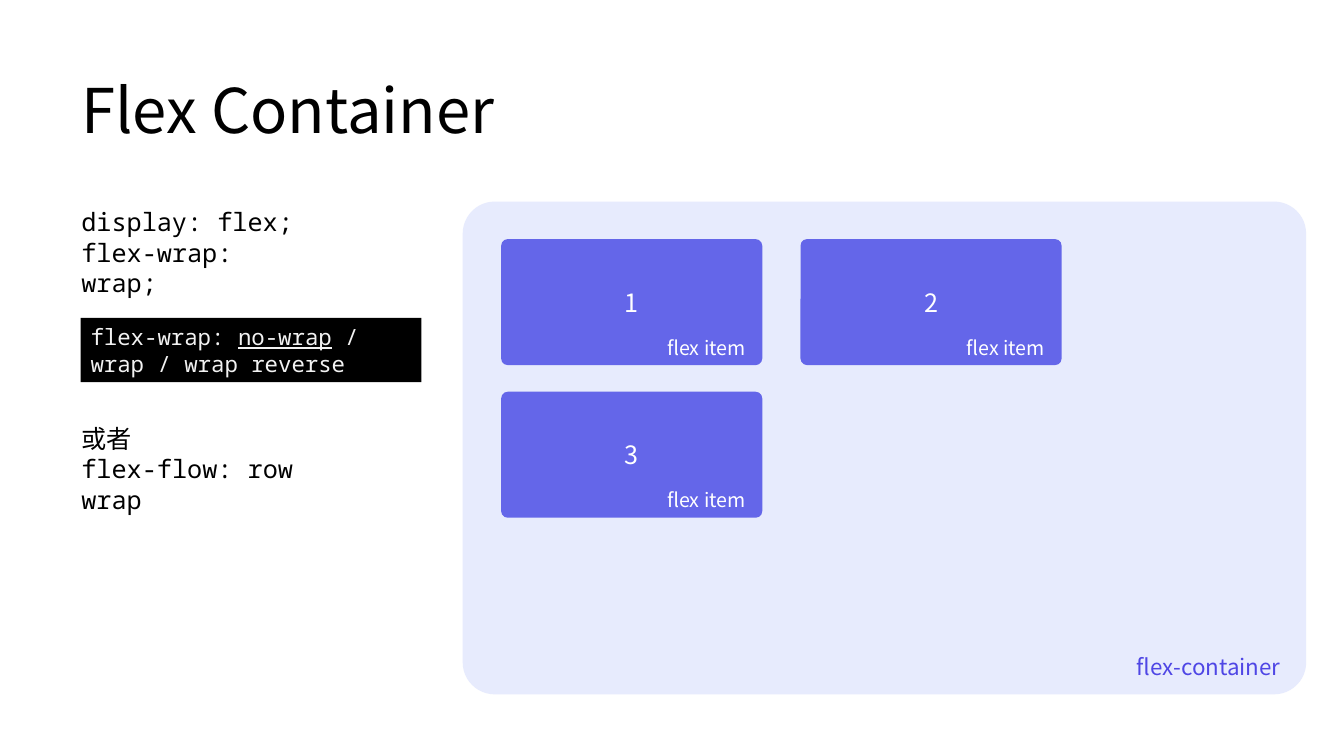
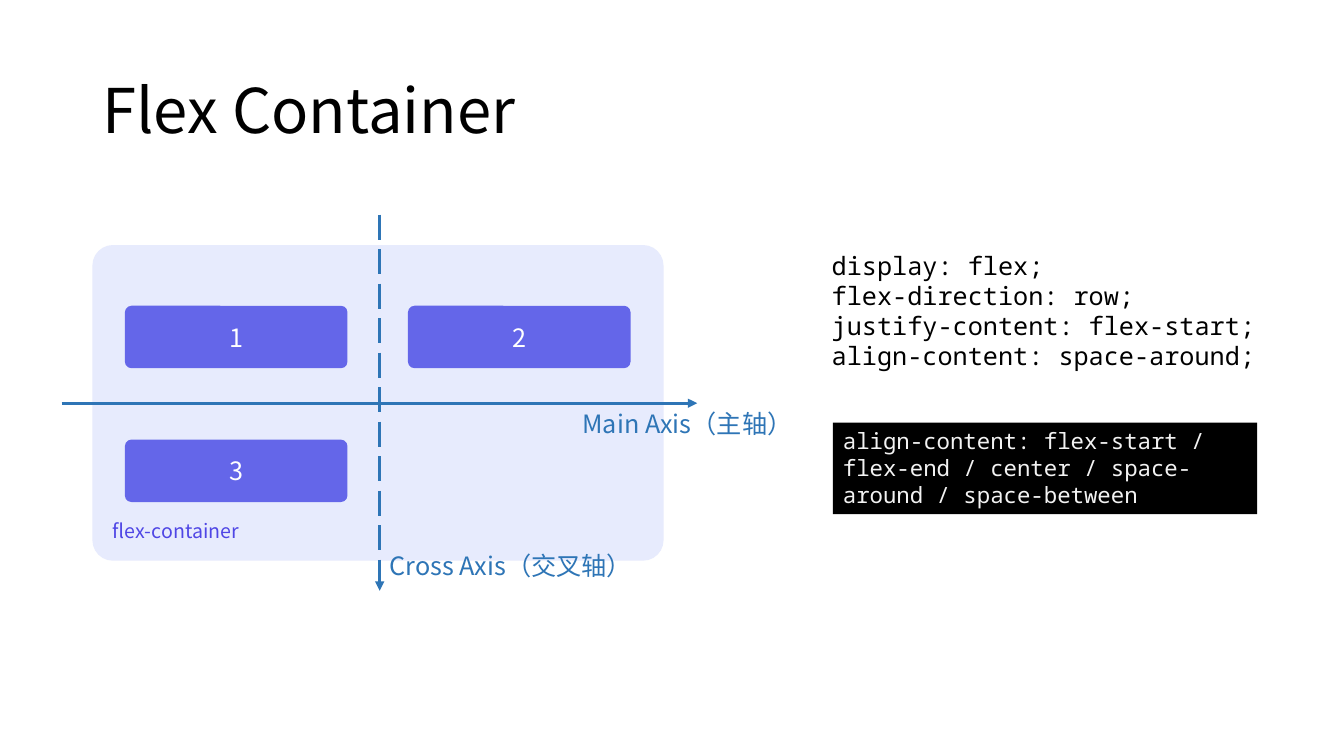
from dataclasses import dataclass

from lxml import etree
from pptx import Presentation
from pptx import util as u
from pptx.dml.color import RGBColor
from pptx.enum import dml, shapes, text
from pptx.oxml import ns


@dataclass(frozen=True)
class Theme:
    sans: str = "Noto Sans CJK SC"
    mono: str = "Noto Sans Mono"
    black: str = "000000"
    white: str = "FFFFFF"
    pale: str = "F2F2F2"
    panel: str = "E7EBFD"
    item: str = "6466E9"
    label: str = "4F46E5"
    axis: str = "2E75B6"
    title_size: float = 44
    body_size: float = 18
    note_size: float = 16
    small_size: float = 14


theme = Theme()

# Content: every box is (left, top, width, height) in points.
# Item grids hold (column, row) cells, numbered in order.
CELLS = [(0, 0), (1, 0), (0, 1)]
SLIDES = [
    dict(
        title=("Flex Container", (51, 29, 843, 104.5)),
        container=(330.5, 144, 602.5, 352),
        container_label=("flex-container", (805, 463, 122, 26.6), theme.note_size),
        grid=dict(start=(358, 170.8), size=(186.5, 90), pitch=(213.8, 109), tag="flex item"),
        code=[
            (["display: flex;", "flex-wrap: wrap;"], (51, 144, 174, 51)),
            (["或者", "flex-flow: row wrap"], (51, 299, 204, 51)),
        ],
        note=([("flex-wrap: ", False), ("no-wrap", True), (" / wrap / wrap reverse", False)],
              (57.6, 227, 243.4, 46)),
        axes=[],
    ),
    dict(
        title=("Flex Container", (66, 29, 828, 104.5)),
        container=(66, 175, 408, 225.5),
        container_label=("flex-container", (73.5, 367, 109, 24.5), theme.small_size),
        grid=dict(start=(89.2, 218.4), size=(159, 44.6), pitch=(202.2, 95.6), tag=None),
        code=[
            (["display: flex;", "flex-direction: row;", "justify-content: flex-start;",
              "align-content: space-around;"], (587, 175, 337, 94.5)),
        ],
        note=([("align-content: flex-start / flex-end / center / space-around / space-between",
                False)], (595, 301.8, 303, 65.5)),
        axes=[
            ("Main Axis（主轴）", (44, 288, 498, 288), (409, 288, 178, 29), None),
            ("Cross Axis（交叉轴）", (271.2, 153.4, 271.2, 422), (271.2, 389.5, 199.5, 29),
             dml.MSO_LINE.LONG_DASH),
        ],
    ),
]
ITEM_RADIUS = 4.7
TAG_SIZE = (75, 24.5)


def points(values):
    return [u.Pt(value) for value in values]


def apply(target, formats):
    for name, value in formats.items():
        setattr(target, name, value)


# Text: each line is a list of (words, underlined) spans
def write(frame, lines, size, colour, font=theme.sans, align=text.PP_ALIGN.LEFT, spacing=None):
    for index, line in enumerate(lines):
        para = frame.paragraphs[0] if index == 0 else frame.add_paragraph()
        apply(para, dict(alignment=align, line_spacing=spacing))
        for words, underlined in line:
            span = para.add_run()
            span.text = words
            apply(span.font, dict(name=font, size=u.Pt(size), underline=underlined or None))
            span.font.color.rgb = RGBColor.from_string(colour)
            east = etree.SubElement(span.font._element, ns.qn("a:ea"))
            east.set("typeface", theme.sans)


def plain(*lines):
    return [[(line, False)] for line in lines]


def add_text(page, lines, place, size, colour, font=theme.sans):
    box = page.shapes.add_textbox(*points(place))
    apply(box.text_frame, dict(word_wrap=True, auto_size=text.MSO_AUTO_SIZE.SHAPE_TO_FIT_TEXT))
    write(box.text_frame, lines, size, colour, font)


def add_block(page, place, fill, radius=None):
    kind = shapes.MSO_SHAPE.ROUNDED_RECTANGLE if radius else shapes.MSO_SHAPE.RECTANGLE
    block = page.shapes.add_shape(kind, *points(place))
    block.shadow.inherit = False
    block.fill.solid()
    block.fill.fore_color.rgb = RGBColor.from_string(fill)
    block.line.fill.background()
    if radius:
        block.adjustments[0] = radius / min(place[2:])
    return block


def add_title(page, words, place):
    title = page.shapes.title
    apply(title, dict(zip(("left", "top", "width", "height"), points(place))))
    apply(title.text_frame, dict(vertical_anchor=text.MSO_ANCHOR.MIDDLE, word_wrap=True,
                                 auto_size=text.MSO_AUTO_SIZE.NONE))
    write(title.text_frame, plain(words), theme.title_size, theme.black, spacing=0.9)


def add_items(page, start, size, pitch, tag):
    for number, cell in enumerate(CELLS, 1):
        left, top = (start[i] + cell[i] * pitch[i] for i in range(2))
        item = add_block(page, (left, top, *size), theme.item, ITEM_RADIUS)
        item.text_frame.vertical_anchor = text.MSO_ANCHOR.MIDDLE
        write(item.text_frame, plain(str(number)), theme.body_size, theme.white,
              align=text.PP_ALIGN.CENTER)
        if tag:
            corner = (left + size[0] - TAG_SIZE[0], top + size[1] - TAG_SIZE[1])
            add_text(page, plain(tag), (*corner, *TAG_SIZE), theme.small_size, theme.white)


def add_axis(page, words, ends, place, dash):
    axis = page.shapes.add_connector(shapes.MSO_CONNECTOR.STRAIGHT, *points(ends))
    axis.line.color.rgb = RGBColor.from_string(theme.axis)
    apply(axis.line, dict(width=u.Pt(2.25), dash_style=dash))
    etree.SubElement(axis.line._get_or_add_ln(), ns.qn("a:tailEnd")).set("type", "triangle")
    etree.SubElement(axis._element.spPr, ns.qn("a:effectLst"))
    add_text(page, plain(words), place, theme.body_size, theme.axis)


def add_note(page, spans, place):
    note = add_block(page, place, theme.black)
    apply(note.text_frame, dict(word_wrap=True, vertical_anchor=text.MSO_ANCHOR.TOP,
                                auto_size=text.MSO_AUTO_SIZE.SHAPE_TO_FIT_TEXT))
    write(note.text_frame, [spans], theme.note_size, theme.pale, theme.mono)


# Build the deck
deck = Presentation()
apply(deck, dict(slide_width=u.Pt(960), slide_height=u.Pt(540)))
title_only = deck.slide_layouts.get_by_name("Title Only")

for content in SLIDES:
    page = deck.slides.add_slide(title_only)
    add_title(page, *content["title"])
    container = content["container"]
    add_block(page, container, theme.panel, 0.065 * container[3])
    words, place, size = content["container_label"]
    add_text(page, plain(words), place, size, theme.label)
    for axis in content["axes"]:
        add_axis(page, *axis)
    add_items(page, **content["grid"])
    for lines, place in content["code"]:
        add_text(page, plain(*lines), place, theme.body_size, theme.black, theme.mono)
    add_note(page, *content["note"])

deck.save("out.pptx")
